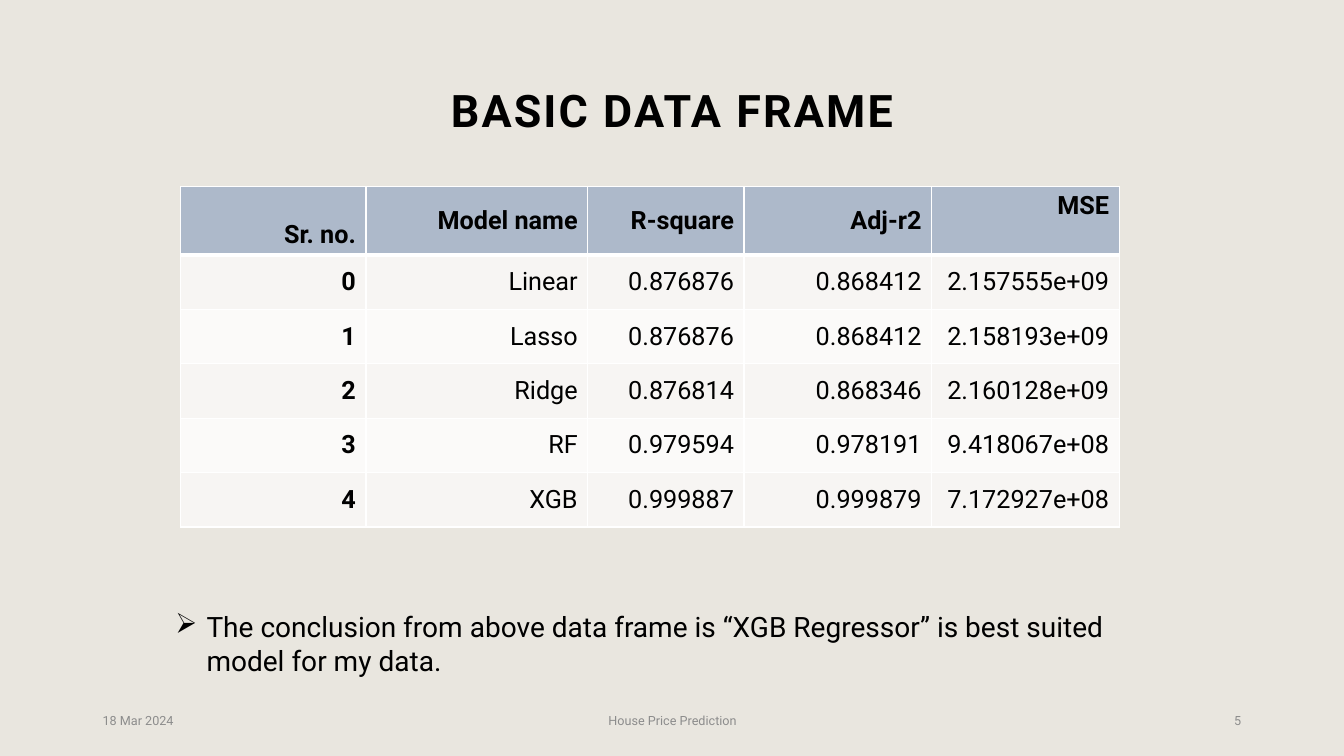
import pptx
import pptx.dml.color
import pptx.enum.text
import pptx.oxml
import pptx.oxml.ns
import pptx.util
from lxml import etree

W, H = 13.33, 7.5
FONT = "Roboto"
ALIGN = pptx.enum.text.PP_ALIGN
ANCHOR = pptx.enum.text.MSO_ANCHOR
HEADER = ["Sr. no.", "Model name", "R-square", "Adj-r2", "MSE"]
HEADER_ANCHORS = [ANCHOR.BOTTOM, ANCHOR.MIDDLE, ANCHOR.MIDDLE, ANCHOR.MIDDLE, ANCHOR.TOP]
MODELS = [
    ["0", "Linear", "0.876876", "0.868412", "2.157555e+09"],
    ["1", "Lasso", "0.876876", "0.868412", "2.158193e+09"],
    ["2", "Ridge", "0.876814", "0.868346", "2.160128e+09"],
    ["3", "RF", "0.979594", "0.978191", "9.418067e+08"],
    ["4", "XGB", "0.999887", "0.999879", "7.172927e+08"],
]
COL_WIDTHS = [1.84, 2.2, 1.55, 1.86, 1.86]
HEADER_HEIGHT, ROW_HEIGHT = 0.68, 0.54


def color(value):
    return pptx.dml.color.RGBColor.from_string(value)


def inches(*lengths):
    return [pptx.util.Inches(n) for n in lengths]


def style(p, size, fill="000000", bold=False, align=ALIGN.LEFT):
    p.alignment = align
    p.font.name, p.font.size, p.font.bold = FONT, pptx.util.Pt(size), bold
    p.font.color.rgb = color(fill)


def add_text(s, box, text, size, anchor=ANCHOR.MIDDLE, **look):
    tf = s.shapes.add_textbox(*inches(*box)).text_frame
    tf.word_wrap, tf.vertical_anchor = True, anchor
    p = tf.paragraphs[0]
    p.text = text
    style(p, size, **look)
    return p


def add_title(s, box):
    p = add_text(s, box, "BASIC DATA FRAME", 32, bold=True, align=ALIGN.CENTER)
    p.line_spacing = 0.9
    p.runs[0].font._element.set("spc", "150")


def set_borders(cell, bottom):
    tcPr = cell._tc.get_or_add_tcPr()
    for i, (side, width) in enumerate([("L", 1), ("R", 1), ("T", 1), ("B", bottom)]):
        ln = pptx.oxml.parse_xml(
            f'<a:ln{side} {pptx.oxml.ns.nsdecls("a")} w="{pptx.util.Pt(width)}">'
            f'<a:solidFill><a:srgbClr val="FFFFFF"/></a:solidFill></a:ln{side}>')
        tcPr.insert(i, ln)


def add_model_table(s, left, top):
    rows = [HEADER] + MODELS
    height = HEADER_HEIGHT + ROW_HEIGHT * len(MODELS)
    table = s.shapes.add_table(len(rows), len(HEADER),
                               *inches(left, top, sum(COL_WIDTHS), height)).table
    for col, width in zip(table.columns, COL_WIDTHS):
        col.width = pptx.util.Inches(width)
    for i, values in enumerate(rows):
        table.rows[i].height = pptx.util.Inches(ROW_HEIGHT if i else HEADER_HEIGHT)
        for j, value in enumerate(values):
            cell = table.cell(i, j)
            cell.text = value
            cell.vertical_anchor = ANCHOR.MIDDLE if i else HEADER_ANCHORS[j]
            style(cell.text_frame.paragraphs[0], 18, bold=i == 0 or j == 0, align=ALIGN.RIGHT)
            cell.fill.solid()
            cell.fill.fore_color.rgb = color(
                "ADB9CA" if i == 0 else "F7F5F3" if i % 2 else "FBFAF9")
            set_borders(cell, bottom=1 if i else 3)


def add_conclusion(s, box):
    p = add_text(s, box, "The conclusion from above data frame is “XGB Regressor” "
                 "is best suited model for my data.", 20, anchor=ANCHOR.TOP)
    pPr = p._p.get_or_add_pPr()
    indent = pptx.util.Inches(0.31)
    pPr.set("marL", str(indent))
    pPr.set("indent", str(-indent))
    bullet = etree.Element(pptx.oxml.ns.qn("a:buChar"), char="➢")
    pPr.insert(0, bullet)


def add_footer(s, left, top, width, height):
    parts = [("18 Mar 2024", 0, 3, ALIGN.LEFT),
             ("House Price Prediction", 3.5, 4.5, ALIGN.CENTER),
             ("5", width - 3, 3, ALIGN.RIGHT)]
    for text, offset, part_width, align in parts:
        add_text(s, (left + offset, top, part_width, height), text, 9,
                 fill="8C8C8C", align=align)


def main():
    prs = pptx.Presentation()
    prs.slide_width, prs.slide_height = inches(W, H)
    s = prs.slides.add_slide(prs.slide_layouts[6])
    s.background.fill.solid()
    s.background.fill.fore_color.rgb = color("E9E6DF")
    margin = 0.92
    content_width = W - 2 * margin
    add_title(s, (margin, 0.4, content_width, 1.45))
    add_model_table(s, 1.79, 1.85)
    add_conclusion(s, (1.64, 6, 9.81, 0.77))
    add_footer(s, margin, 6.95, content_width, 0.4)
    prs.save("out.pptx")


if __name__ == "__main__":
    main()
